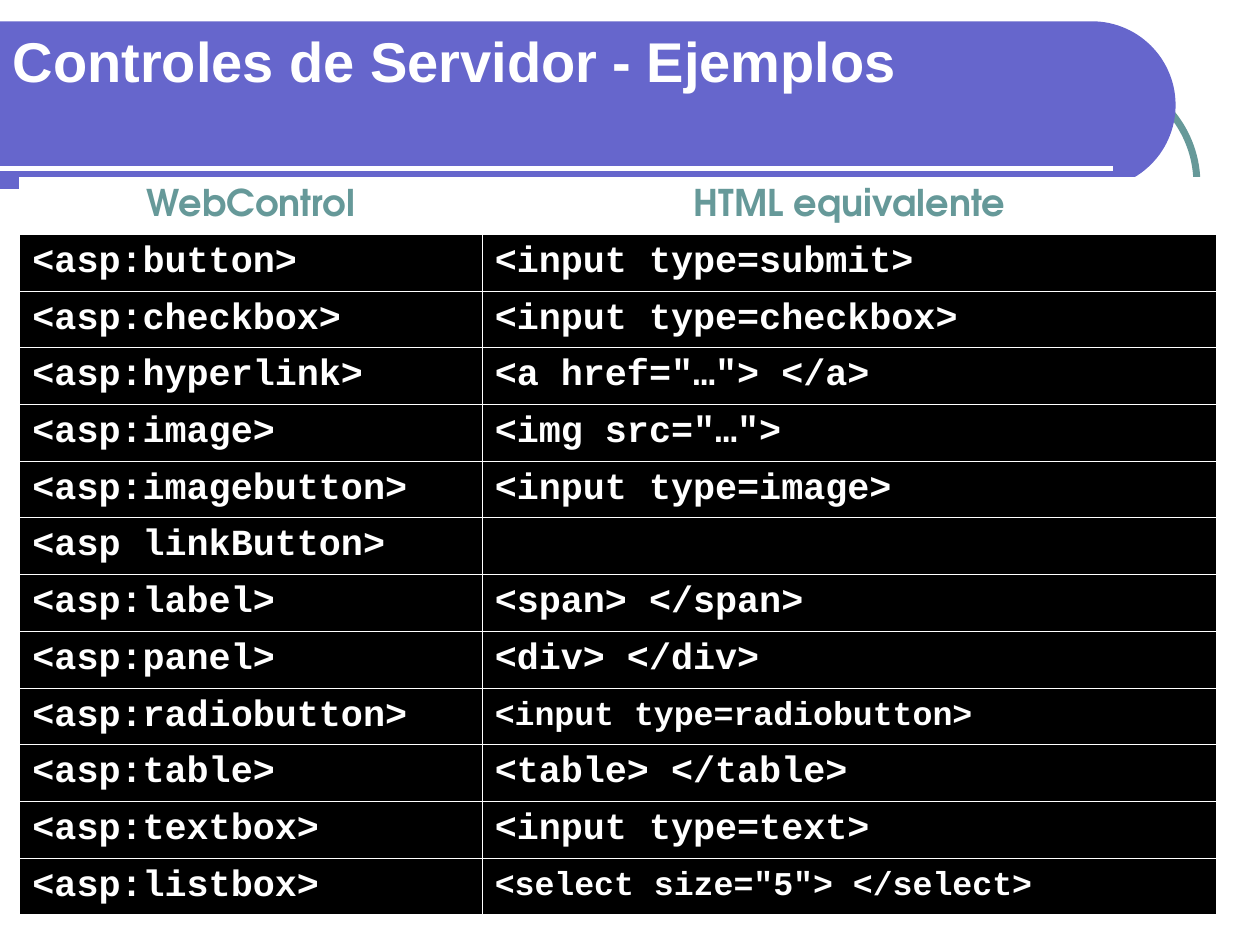
from math import cos, radians, sin

from lxml.etree import SubElement
from pptx import Presentation
from pptx.dml.color import RGBColor
from pptx.enum.shapes import MSO_CONNECTOR, MSO_SHAPE
from pptx.enum.text import MSO_ANCHOR, MSO_AUTO_SIZE, PP_ALIGN
from pptx.oxml.ns import qn
from pptx.util import Cm, Pt

WHITE = RGBColor(0xFF, 0xFF, 0xFF)
BLACK = RGBColor(0x00, 0x00, 0x00)
VIOLET = RGBColor(0x66, 0x66, 0xCC)
TEAL = RGBColor(0x66, 0x99, 0x99)

ROWS = [
    ("WebControl", "HTML equivalente"),
    ("<asp:button>", "<input type=submit>"),
    ("<asp:checkbox>", "<input type=checkbox>"),
    ("<asp:hyperlink>", '<a href="…"> </a>'),
    ("<asp:image>", '<img src="…">'),
    ("<asp:imagebutton>", "<input type=image>"),
    ("<asp linkButton>", ""),
    ("<asp:label>", "<span> </span>"),
    ("<asp:panel>", "<div> </div>"),
    ("<asp:radiobutton>", "<input type=radiobutton>"),
    ("<asp:table>", "<table> </table>"),
    ("<asp:textbox>", "<input type=text>"),
    ("<asp:listbox>", '<select size="5"> </select>'),
]
LONG_TEXT = 23  # entries from this length on are set smaller


def write_text(frame, text, *, size, font, color, align=PP_ALIGN.LEFT, hanging=0):
    paragraph = frame.paragraphs[0]
    paragraph.alignment = align
    properties = paragraph._p.get_or_add_pPr()
    properties.set("marL", str(hanging))
    properties.set("indent", str(-hanging))
    run = paragraph.add_run()
    run.text = text
    run.font.size = Pt(size)
    run.font.name = font
    run.font.bold = True
    run.font.color.rgb = color


def add_borders(cell, color, width):
    properties = cell._tc.get_or_add_tcPr()
    for side in ("a:lnL", "a:lnR", "a:lnT", "a:lnB"):
        line = SubElement(properties, qn(side), w=str(width))
        fill = SubElement(line, qn("a:solidFill"))
        SubElement(fill, qn("a:srgbClr"), val=str(color))


presentation = Presentation()
presentation.slide_width = Cm(25.4)
presentation.slide_height = Cm(19.05)
slide = presentation.slides.add_slide(presentation.slide_layouts[5])

# Rounded frame behind everything
frame_shape = slide.shapes.add_shape(
    MSO_SHAPE.ROUNDED_RECTANGLE, Cm(1.06), Cm(1.48), Cm(23.07), Cm(15.88))
frame_shape.adjustments[0] = 0.14
frame_shape.shadow.inherit = False
frame_shape.fill.background()
frame_shape.line.color.rgb = TEAL
frame_shape.line.width = Pt(4)

# Title band with a half-round right end
band_top, radius, center_x = Cm(0.43), Cm(1.69), Cm(22.01)
center_y = band_top + radius
arc = [(center_x + radius * cos(radians(angle)), center_y + radius * sin(radians(angle)))
       for angle in range(-90, 91, 3)]
builder = slide.shapes.build_freeform(0, band_top)
builder.add_line_segments(arc + [(0, center_y + radius)], close=True)
band = builder.convert_to_shape()
band.shadow.inherit = False
band.fill.solid()
band.fill.fore_color.rgb = VIOLET
band.line.fill.background()

# White rule across the band
rule = slide.shapes.add_connector(
    MSO_CONNECTOR.STRAIGHT, 0, Cm(3.39), Cm(22.43), Cm(3.39))
rule.line.color.rgb = WHITE
rule.line.width = Pt(3)
SubElement(rule._element.spPr, qn("a:effectLst"))

# Title, brought in front of the band
title = slide.shapes.title
slide.shapes.element.append(title.element)
title.left, title.top, title.width, title.height = 0, Cm(0.41), Cm(23.32), Cm(1.6)
title.text_frame.auto_size = MSO_AUTO_SIZE.NONE
title.text_frame.vertical_anchor = MSO_ANCHOR.MIDDLE
write_text(title.text_frame, "Controles de Servidor - Ejemplos",
           size=32, font="Arial", color=WHITE)

# Table of controls and their HTML counterparts
table_shape = slide.shapes.add_table(
    len(ROWS), 2, Cm(0.4), Cm(3.58), Cm(24.13), Cm(14.86))
table = table_shape.table
table.first_row = False
table.horz_banding = False
table.columns[0].width = Cm(9.32)
table.columns[1].width = Cm(14.81)

for row_index, row in enumerate(ROWS):
    is_header = row_index == 0
    for column_index, text in enumerate(row):
        cell = table.cell(row_index, column_index)
        add_borders(cell, WHITE, Pt(0.45))
        cell.fill.solid()
        cell.fill.fore_color.rgb = WHITE if is_header else BLACK
        cell.vertical_anchor = MSO_ANCHOR.MIDDLE
        if text:
            write_text(cell.text_frame, text,
                       size=19 if len(text) >= LONG_TEXT else 21,
                       font="TeX Gyre Adventor" if is_header else "Courier New",
                       color=TEAL if is_header else WHITE,
                       align=PP_ALIGN.CENTER if is_header else PP_ALIGN.LEFT,
                       hanging=Cm(0.95))

presentation.save("out.pptx")
